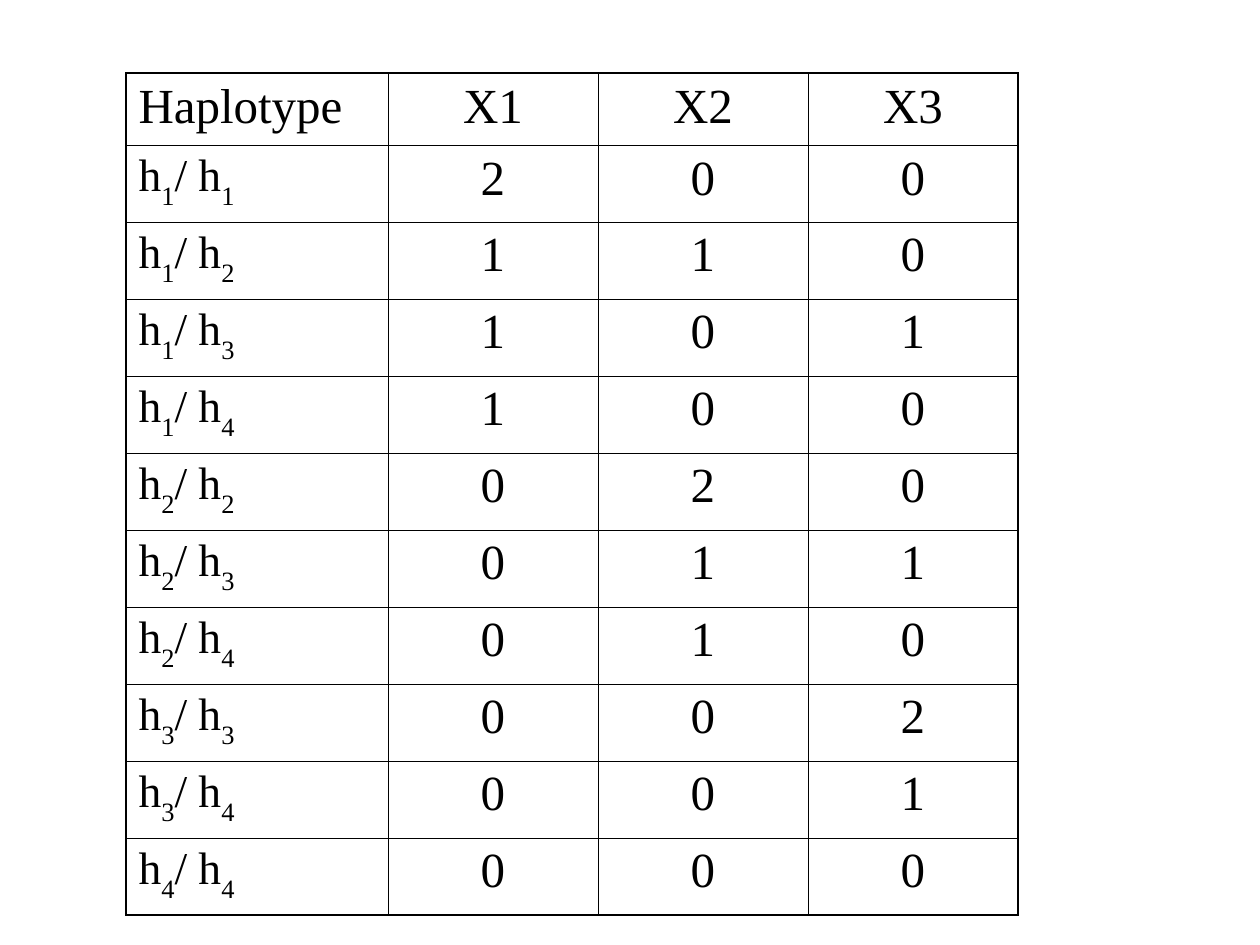
from itertools import combinations_with_replacement

from lxml import etree
from pptx import Presentation
from pptx.dml.color import RGBColor
from pptx.enum.text import PP_ALIGN
from pptx.oxml.ns import qn
from pptx.util import Pt

CENTER, LEFT = PP_ALIGN.CENTER, PP_ALIGN.LEFT
PX = 914400 / 126
BLACK = "000000"
THIN, THICK = Pt(0.45), Pt(1.08)
COLUMN_WIDTHS = [262, 210, 210, 210]
HEADER_HEIGHT, ROW_HEIGHT = 72, 77


def px(length):
    return round(length * PX)


def add_border(cell, position, side, width):
    """Insert one solid cell border; position keeps the L, R, T, B order."""
    line = etree.Element(qn("a:ln" + side), w=str(int(width)))
    fill = etree.SubElement(line, qn("a:solidFill"))
    etree.SubElement(fill, qn("a:srgbClr"), val=BLACK)
    cell._tc.get_or_add_tcPr().insert(position, line)


# Each cell is a list of (text, is_subscript) runs.
rows = [[[(label, False)] for label in ("Haplotype", "X1", "X2", "X3")]]
for pair in combinations_with_replacement("1234", 2):
    first, second = pair
    name = [("h", False), (first, True), ("/ h", False), (second, True)]
    counts = [[(str(pair.count(haplotype)), False)] for haplotype in "123"]
    rows.append([name] + counts)

deck = Presentation()
deck.slide_width, deck.slide_height = px(1260), px(945)
page = deck.slides.add_slide(deck.slide_layouts[6])

last_row, last_column = len(rows) - 1, len(COLUMN_WIDTHS) - 1
table_height = HEADER_HEIGHT + last_row * ROW_HEIGHT
table = page.shapes.add_table(
    len(rows), len(COLUMN_WIDTHS),
    px(126), px(73), px(sum(COLUMN_WIDTHS)), px(table_height)).table
table.first_row = table.horz_banding = False
for column, width in zip(table.columns, COLUMN_WIDTHS):
    column.width = px(width)

for r, cells in enumerate(rows):
    table.rows[r].height = px(ROW_HEIGHT if r else HEADER_HEIGHT)
    for c, runs in enumerate(cells):
        cell = table.cell(r, c)
        cell.fill.background()
        outer_sides = {"L": c == 0, "R": c == last_column,
                       "T": r == 0, "B": r == last_row}
        for position, (side, is_outer) in enumerate(outer_sides.items()):
            add_border(cell, position, side, THICK if is_outer else THIN)

        para = cell.text_frame.paragraphs[0]
        para.alignment = CENTER if c else LEFT
        for text, is_subscript in runs:
            span = para.add_run()
            span.text = text
            span.font.name = "Times New Roman"
            span.font.size = Pt(26 if r and c == 0 else 28)
            span.font.color.rgb = RGBColor.from_string(BLACK)
            if is_subscript:
                span.font._element.set("baseline", "-30000")

deck.save("out.pptx")
